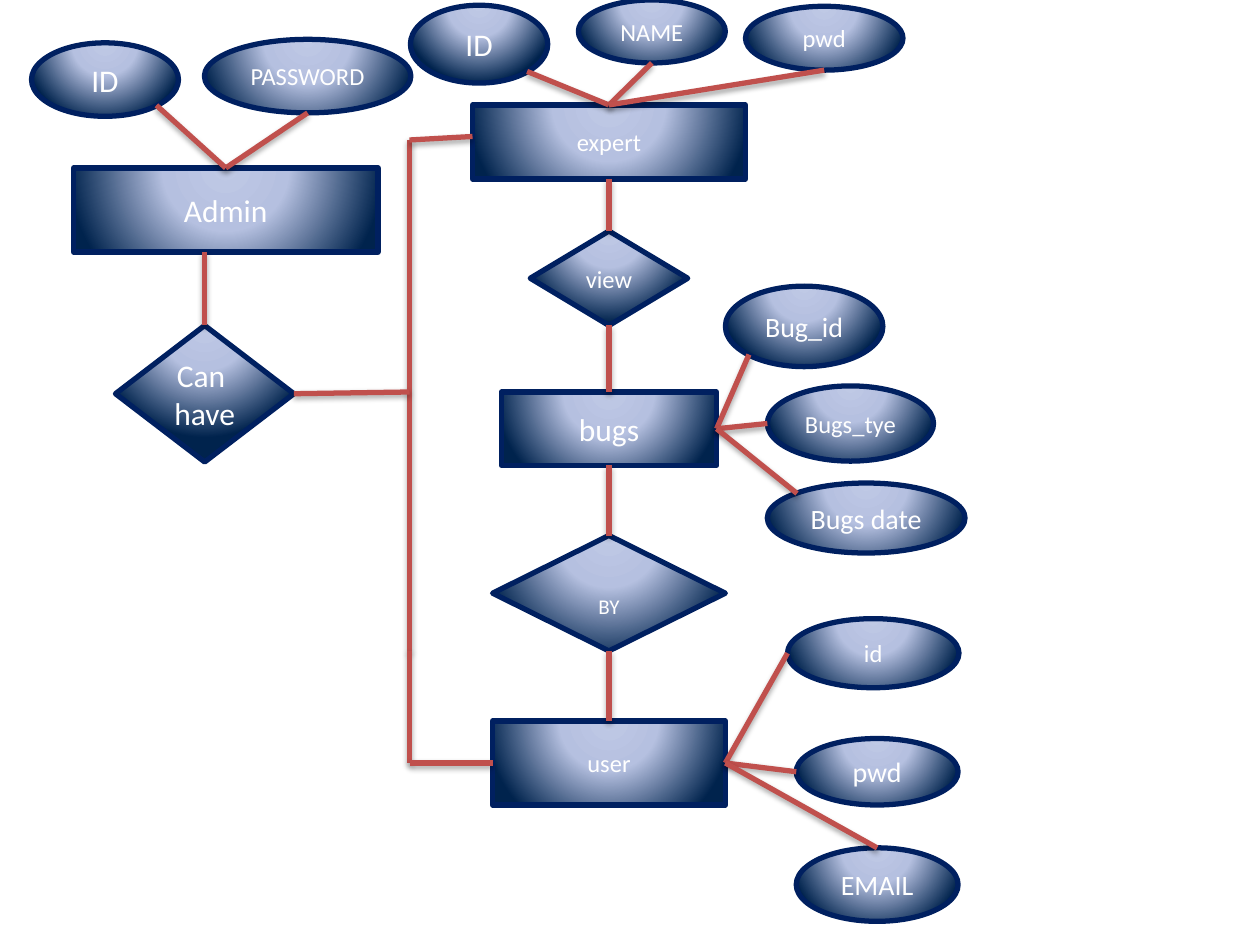
"""Build an entity-relationship diagram of a bug tracking system."""
from lxml.etree import fromstring
from pptx import Presentation
from pptx.dml.color import RGBColor
from pptx.enum.shapes import MSO_CONNECTOR, MSO_SHAPE
from pptx.enum.text import MSO_ANCHOR, PP_ALIGN
from pptx.util import Pt

THEME = {
    "font": "Calibri", "text": "FFFFFF", "outline": "002060", "link": "C0504D",
    "shadow": "000000", "line": 3, "small": 12, "medium": 14, "large": 16, "huge": 18,
    "gradient": [(0, "BFC9E5"), (40, "B5C0E0"), (100, "00234D")],
}

ENTITIES = {
    "admin": ("Admin", "huge", 42, 96, 174, 48),
    "expert": ("expert", "medium", 270, 60, 156, 42.3),
    "bugs": ("bugs", "huge", 286.5, 224, 123, 42),
    "user": ("user", "medium", 281.5, 412, 133, 48),
}
RELATIONS = {
    "can have": ("Can \nhave", "huge", 66, 186, 102, 78),
    "view": ("view", "medium", 303, 132, 90, 54),
    "by": ("BY", "small", 281.5, 306, 133, 66),
}
ATTRIBUTES = {
    "admin id": ("ID", "huge", 18, 24.5, 84, 42),
    "admin password": ("PASSWORD", "medium", 116.8, 22.5, 118, 42),
    "expert id": ("ID", "huge", 234.5, 3, 78.5, 44.5),
    "expert name": ("NAME", "medium", 330.5, 0, 84, 36),
    "expert pwd": ("pwd", "medium", 426, 3.6, 90, 36.5),
    "bug id": ("Bug_id", "large", 414.5, 163.5, 90, 46),
    "bug type": ("Bugs_tye", "medium", 438.5, 220.5, 95, 43),
    "bug date": ("Bugs date", "large", 438.5, 276, 113, 40),
    "user id": ("id", "medium", 450, 353.5, 98, 39.5),
    "user pwd": ("pwd", "large", 455, 422, 92.5, 38),
    "user email": ("EMAIL", "large", 455, 484.5, 92.5, 42),
}
GROUPS = [
    (MSO_SHAPE.RECTANGLE, ENTITIES),
    (MSO_SHAPE.DIAMOND, RELATIONS),
    (MSO_SHAPE.OVAL, ATTRIBUTES),
]
PLACES = {**ENTITIES, **RELATIONS, **ATTRIBUTES}
TEXT_TOP_INSET = {"by": 18}

SIDES = {
    "top": (0.5, 0), "bottom": (0.5, 1), "left": (0, 0.5), "right": (1, 0.5),
    "upper left": (0.15, 0.15), "lower left": (0.15, 0.85), "lower right": (0.85, 0.85),
}
ATTRIBUTE_LINKS = [
    ("admin", "top", [("admin password", "bottom"), ("admin id", "lower right")]),
    ("expert", "top", [("expert name", "bottom"), ("expert id", "lower right"),
                       ("expert pwd", "bottom")]),
    ("bugs", "right", [("bug id", "lower left"), ("bug type", "left"),
                       ("bug date", "upper left")]),
    ("user", "right", [("user id", "left"), ("user pwd", "left"), ("user email", "top")]),
]
CHAIN = ["expert", "view", "bugs", "by", "user"]
TRUNK_X, TRUNK_TOP, TRUNK_JOINT, TRUNK_SPLIT = 234, 80, 224, 372

NAMESPACE = 'xmlns:a="http://schemas.openxmlformats.org/drawingml/2006/main"'


def apply(target, values):
    for name, value in values.items():
        setattr(target, name, value)


def color(name):
    return RGBColor.from_string(THEME[name])


def draw_line(line, name):
    line.color.rgb = color(name)
    line.width = Pt(THEME["line"])


def gradient_fill():
    stops = "".join(f'<a:gs pos="{stop * 1000}"><a:srgbClr val="{value}"/></a:gs>'
                    for stop, value in THEME["gradient"])
    return fromstring(
        f'<a:gradFill {NAMESPACE} rotWithShape="1"><a:gsLst>{stops}</a:gsLst><a:path path="circle">'
        '<a:fillToRect l="50000" t="-80000" r="50000" b="180000"/></a:path></a:gradFill>')


def link_shadow():
    return fromstring(
        f'<a:effectLst {NAMESPACE}><a:outerShdw blurRad="40000" dist="23000" dir="5400000" '
        f'rotWithShape="0"><a:srgbClr val="{THEME["shadow"]}"><a:alpha val="35000"/></a:srgbClr>'
        '</a:outerShdw></a:effectLst>')


def add_node(page, kind, key, label, size, *place):
    node = page.shapes.add_shape(kind, *map(Pt, place))
    node.shadow.inherit = False
    draw_line(node.line, "outline")
    node._element.spPr.insert(2, gradient_fill())
    frame = node.text_frame
    apply(frame, {"word_wrap": True, "vertical_anchor": MSO_ANCHOR.MIDDLE,
                  "margin_top": Pt(TEXT_TOP_INSET.get(key, 3.6))})
    frame.text = label
    for para in frame.paragraphs:
        para.alignment = PP_ALIGN.CENTER
        for span in para.runs:
            apply(span.font, {"name": THEME["font"], "size": Pt(THEME[size])})
            span.font.color.rgb = color("text")


def anchor(key, side):
    left, top, width, height = PLACES[key][2:]
    across, down = SIDES[side]
    return left + across * width, top + down * height


def add_link(page, start, end):
    link = page.shapes.add_connector(MSO_CONNECTOR.STRAIGHT, *map(Pt, start + end))
    draw_line(link.line, "link")
    link._element.spPr.append(link_shadow())


def find_links():
    links = [(anchor(owner, side), anchor(*attribute))
             for owner, side, attributes in ATTRIBUTE_LINKS for attribute in attributes]
    links += [(anchor(upper, "bottom"), anchor(lower, "top"))
              for upper, lower in zip(CHAIN, CHAIN[1:])]
    relation_top = anchor("can have", "top")
    links.append(((relation_top[0], anchor("admin", "bottom")[1]), relation_top))
    user_left = anchor("user", "left")
    top, split, bottom = [(TRUNK_X, y) for y in (TRUNK_TOP, TRUNK_SPLIT, user_left[1])]
    links += [(top, split), (split, bottom), (user_left, bottom),
              (top, (PLACES["expert"][2], 78)),
              (anchor("can have", "right"), (TRUNK_X, TRUNK_JOINT))]
    return links


def main():
    deck = Presentation()
    apply(deck, {"slide_width": Pt(720), "slide_height": Pt(540)})
    page = deck.slides.add_slide(deck.slide_layouts[6])
    for kind, nodes in GROUPS:
        for key, node in nodes.items():
            add_node(page, kind, key, *node)
    for start, end in find_links():
        add_link(page, start, end)
    deck.save("out.pptx")


if __name__ == "__main__":
    main()
